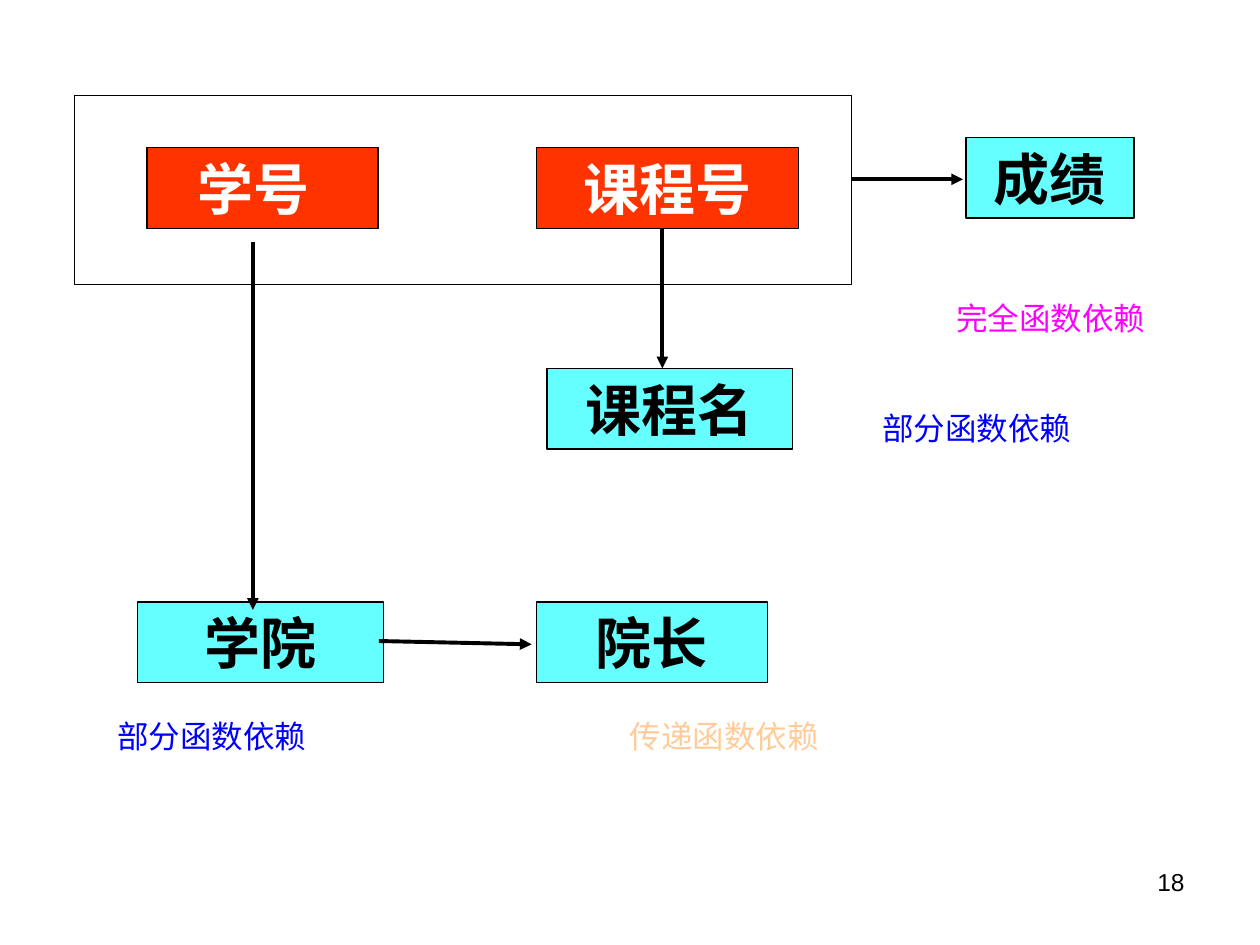
import pptx
import pptx.dml.color
import pptx.enum.shapes
import pptx.enum.text
import pptx.oxml
import pptx.oxml.ns
import pptx.util
from pptx.util import Pt

RGBColor = pptx.dml.color.RGBColor
PP_ALIGN = pptx.enum.text.PP_ALIGN
MSO_ANCHOR = pptx.enum.text.MSO_ANCHOR

BLACK = RGBColor(0x00, 0x00, 0x00)
WHITE = RGBColor(0xFF, 0xFF, 0xFF)
CYAN = RGBColor(0x66, 0xFF, 0xFF)
RED = RGBColor(0xFF, 0x33, 0x00)
MAGENTA = RGBColor(0xFF, 0x00, 0xFF)
BLUE = RGBColor(0x00, 0x00, 0xFF)
PEACH = RGBColor(0xFF, 0xCC, 0x99)

SERIF = "Times New Roman"
CHINESE = "Noto Sans CJK SC"
BOX_HEIGHT = 46.2


def write_text(shape, text, size, color, font_name, alignment, bold=False):
    paragraph = shape.text_frame.paragraphs[0]
    paragraph.text = text
    paragraph.alignment = alignment
    font = paragraph.font
    font.size = Pt(size)
    font.bold = bold
    font.name = font_name
    font.color.rgb = color
    properties = paragraph.runs[0].font._element
    east_asian = pptx.oxml.parse_xml(
        f'<a:ea {pptx.oxml.ns.nsdecls("a")} typeface="{CHINESE}"/>')
    properties.append(east_asian)


def add_rectangle(slide, left, top, width, height, fill):
    shape = slide.shapes.add_shape(
        pptx.enum.shapes.MSO_SHAPE.RECTANGLE, Pt(left), Pt(top), Pt(width), Pt(height))
    shape.shadow.inherit = False
    shape.fill.solid()
    shape.fill.fore_color.rgb = fill
    shape.line.color.rgb = BLACK
    shape.line.width = Pt(0.75)
    return shape


def add_attribute(slide, text, left, top, width, fill=CYAN, color=BLACK,
                  font_name=SERIF, alignment=PP_ALIGN.CENTER, indent=7.2):
    shape = add_rectangle(slide, left, top, width, BOX_HEIGHT, fill)
    frame = shape.text_frame
    frame.margin_left = Pt(indent)
    frame.margin_top = frame.margin_bottom = Pt(0)
    frame.vertical_anchor = MSO_ANCHOR.MIDDLE
    write_text(shape, text, 32, color, font_name, alignment, bold=True)


def add_label(slide, text, left, top, width, height, color,
              size=18, font_name=CHINESE, alignment=PP_ALIGN.CENTER):
    box = slide.shapes.add_textbox(Pt(left), Pt(top), Pt(width), Pt(height))
    box.text_frame.word_wrap = True
    write_text(box, text, size, color, font_name, alignment)


def add_arrow(slide, start_x, start_y, end_x, end_y):
    arrow = slide.shapes.add_connector(
        pptx.enum.shapes.MSO_CONNECTOR.STRAIGHT,
        Pt(start_x), Pt(start_y), Pt(end_x), Pt(end_y))
    arrow.line.color.rgb = BLACK
    arrow.line.width = Pt(2.25)
    namespace = pptx.oxml.ns.nsdecls("a")
    arrow.line._get_or_add_ln().append(
        pptx.oxml.parse_xml(f'<a:tailEnd {namespace} type="triangle"/>'))
    arrow._element.spPr.append(pptx.oxml.parse_xml(f"<a:effectLst {namespace}/>"))


def main():
    presentation = pptx.Presentation()
    presentation.slide_width = Pt(720)
    presentation.slide_height = Pt(540)
    slide = presentation.slides.add_slide(presentation.slide_layouts[6])

    add_label(slide, "18", 516, 492, 168, 37.5, BLACK, 14, "Arial", PP_ALIGN.RIGHT)

    add_attribute(slide, "学院", 78.5, 344, 140.5)
    add_attribute(slide, "院长", 306.5, 344, 132)
    add_attribute(slide, "成绩", 552, 78.5, 96)
    add_rectangle(slide, 42.5, 54.5, 444, 108, WHITE)
    add_arrow(slide, 216.5, 366.3, 303.8, 368.2)
    add_attribute(slide, "学号", 84, 84.5, 132, RED, WHITE, CHINESE,
                  PP_ALIGN.LEFT, indent=29)
    add_attribute(slide, "课程号", 306.5, 84.5, 150, RED, WHITE)
    add_arrow(slide, 144.5, 138.5, 144.5, 348.5)
    add_arrow(slide, 486.5, 102.5, 550.3, 102.5)
    add_attribute(slide, "课程名", 312.5, 210.5, 140.5)
    add_arrow(slide, 378.5, 131, 378.5, 210.5)

    add_label(slide, "完全函数依赖", 513.5, 167.5, 174, 36, MAGENTA)
    add_label(slide, "传递函数依赖", 309, 406, 210, 48, PEACH)
    for left, top in ((25, 406), (462, 230)):
        add_label(slide, "部分函数依赖", left, top, 192, 48, BLUE)

    presentation.save("out.pptx")


if __name__ == "__main__":
    main()
